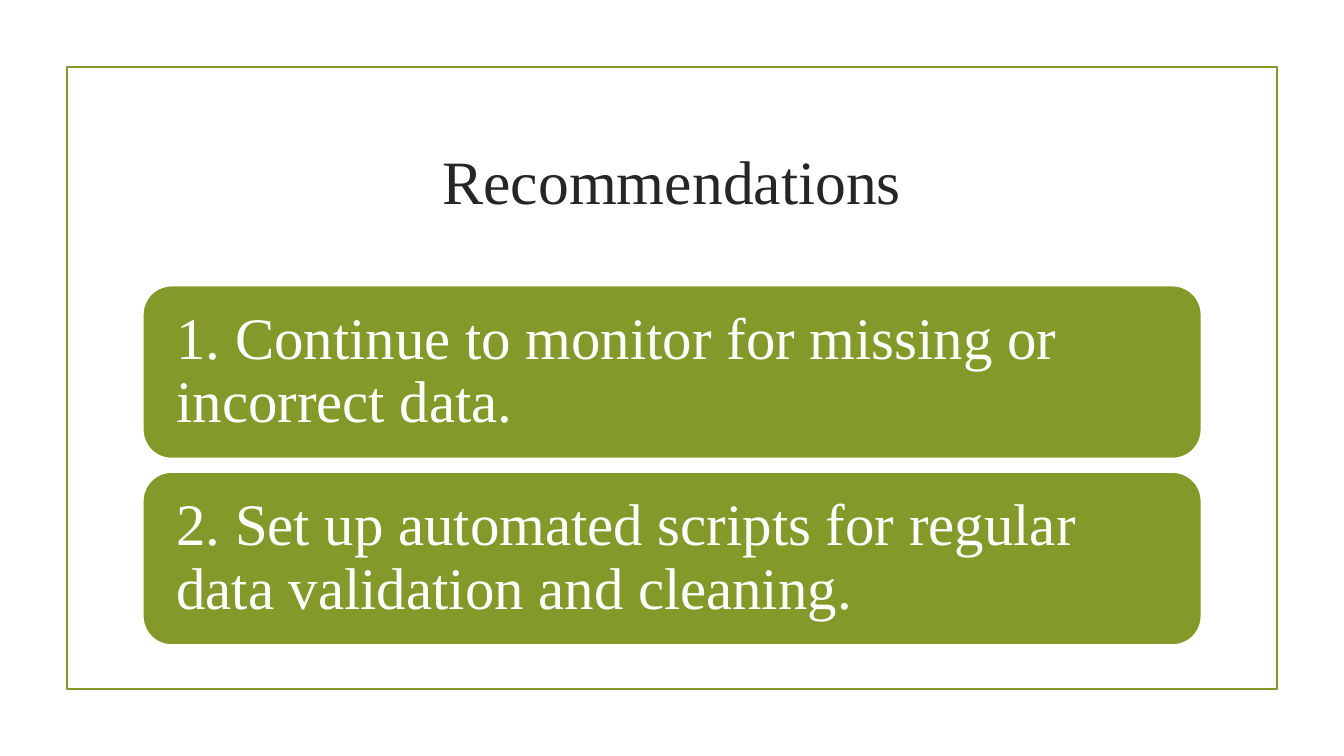
from dataclasses import dataclass

from pptx import Presentation
from pptx.dml.color import RGBColor
from pptx.enum.shapes import MSO_SHAPE
from pptx.enum.text import MSO_ANCHOR, MSO_AUTO_SIZE, PP_ALIGN
from pptx.shapes.autoshape import Shape
from pptx.slide import Slide
from pptx.util import Inches, Length, Pt


@dataclass(frozen=True)
class Theme:
    accent: RGBColor = RGBColor(0x83, 0x99, 0x2A)
    ink: RGBColor = RGBColor(0x26, 0x26, 0x26)
    paper: RGBColor = RGBColor(0xFF, 0xFF, 0xFF)
    font: str = "Times New Roman"
    title_size: Length = Pt(44)
    card_size: Length = Pt(42)
    line_width: Length = Pt(1.25)


@dataclass(frozen=True)
class Area:
    column: float
    row: float
    columns: float
    rows: float

    def place(self) -> tuple[Length, Length, Length, Length]:
        cells = (self.column, self.row, self.columns, self.rows)
        return tuple(Length(round(cell * GRID_UNIT)) for cell in cells)


@dataclass(frozen=True)
class Recommendation:
    text: str
    area: Area


THEME = Theme()
SLIDE_WIDTH, SLIDE_HEIGHT = Inches(13.33), Inches(7.5)
GRID_UNIT = SLIDE_HEIGHT / 90
FRAME = Area(8, 8, 144, 74)
TITLE = Area(17, 12.84, 126, 17.16)
FIRST_CARD = Area(17, 34, 126, 20.6)
CARD_PITCH = 22.2
CARD_INSET = Inches(0.25)

RECOMMENDATIONS = [
    Recommendation(
        text,
        Area(FIRST_CARD.column, FIRST_CARD.row + index * CARD_PITCH,
             FIRST_CARD.columns, FIRST_CARD.rows),
    )
    for index, text in enumerate([
        "1. Continue to monitor for missing or incorrect data.",
        "2. Set up automated scripts for regular data validation and cleaning.",
    ])
]


def write_text(box: Shape, text: str, size: Length, color: RGBColor,
               alignment: PP_ALIGN) -> None:
    frame = box.text_frame
    frame.text = text
    frame.word_wrap = True
    frame.auto_size = MSO_AUTO_SIZE.NONE
    frame.vertical_anchor = MSO_ANCHOR.MIDDLE
    para = frame.paragraphs[0]
    para.alignment = alignment
    for span in para.runs:
        span.font.name = THEME.font
        span.font.size = size
        span.font.color.rgb = color


def draw_box(page: Slide, kind: MSO_SHAPE, area: Area, line: RGBColor) -> Shape:
    box = page.shapes.add_shape(kind, *area.place())
    box.shadow.inherit = False
    box.fill.background()
    box.line.color.rgb = line
    box.line.width = THEME.line_width
    return box


def draw_title(page: Slide, text: str) -> None:
    title = page.shapes.title
    title.left, title.top, title.width, title.height = TITLE.place()
    write_text(title, text, THEME.title_size, THEME.ink, PP_ALIGN.CENTER)


def draw_card(page: Slide, card: Recommendation) -> None:
    box = draw_box(page, MSO_SHAPE.ROUNDED_RECTANGLE, card.area, THEME.paper)
    box.fill.solid()
    box.fill.fore_color.rgb = THEME.accent
    write_text(box, card.text, THEME.card_size, THEME.paper, PP_ALIGN.LEFT)
    frame = box.text_frame
    frame.margin_left = frame.margin_right = CARD_INSET
    frame.margin_top = frame.margin_bottom = CARD_INSET
    frame.paragraphs[0].line_spacing = 0.9


def main() -> None:
    deck = Presentation()
    deck.slide_width, deck.slide_height = SLIDE_WIDTH, SLIDE_HEIGHT
    page = deck.slides.add_slide(deck.slide_layouts.get_by_name("Title Only"))
    page.background.fill.solid()
    page.background.fill.fore_color.rgb = THEME.paper
    draw_box(page, MSO_SHAPE.RECTANGLE, FRAME, THEME.accent)
    draw_title(page, "Recommendations")
    for card in RECOMMENDATIONS:
        draw_card(page, card)
    deck.save("out.pptx")


if __name__ == "__main__":
    main()
